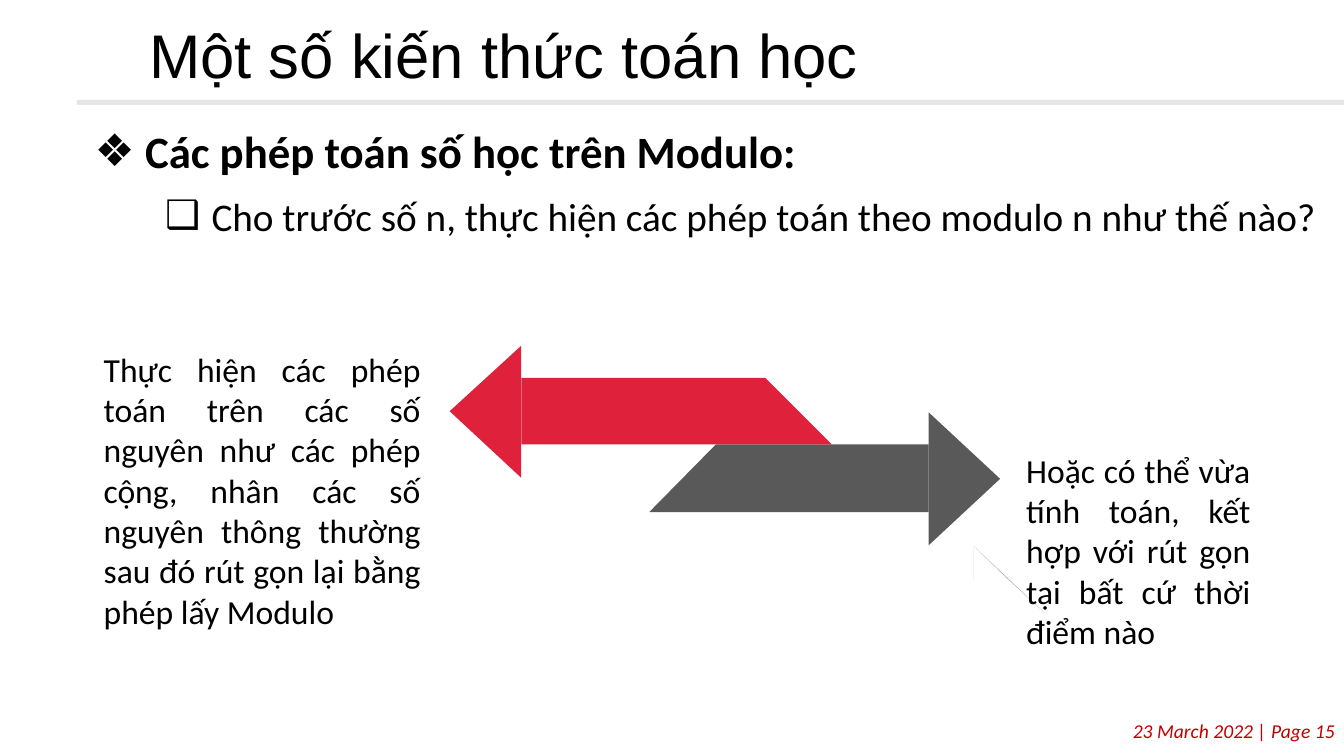
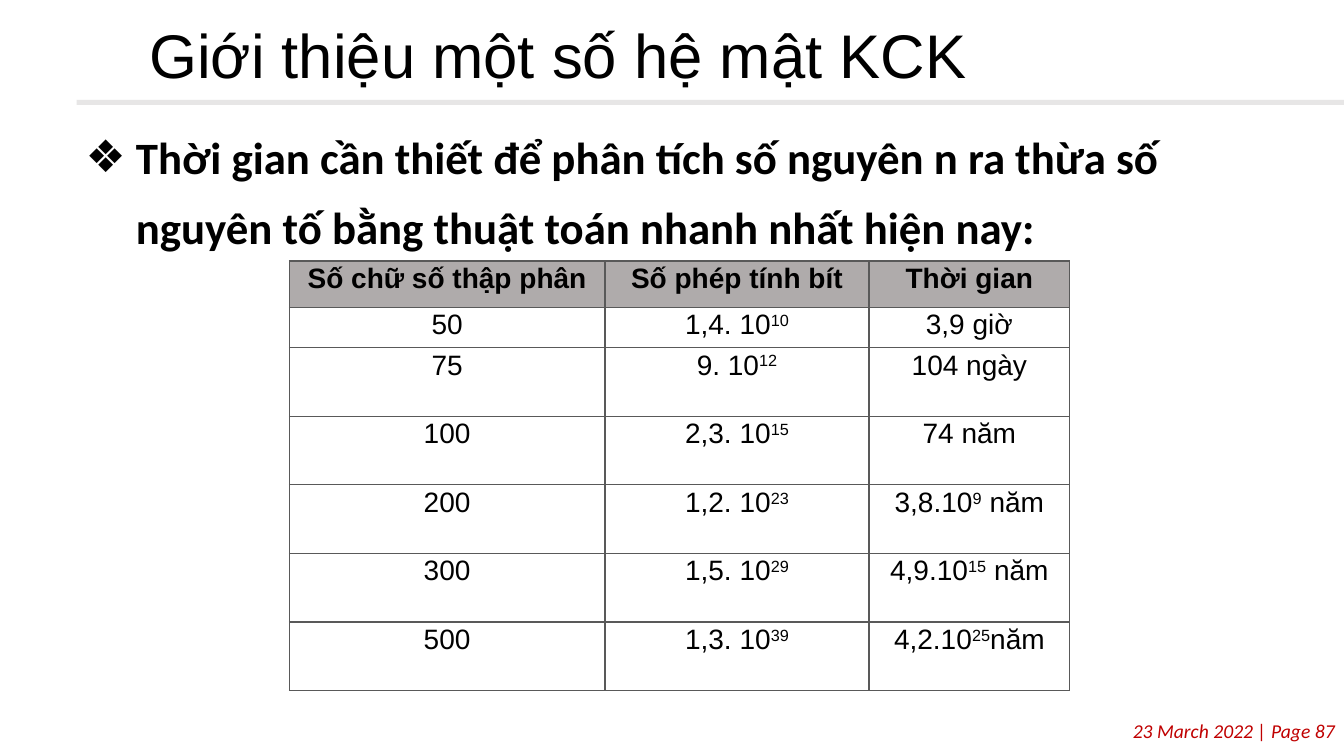
from lxml.etree import SubElement
from pptx import Presentation
from pptx.dml.color import RGBColor
from pptx.enum.shapes import MSO_SHAPE
from pptx.enum.text import MSO_ANCHOR, PP_ALIGN
from pptx.oxml.ns import qn
from pptx.util import Inches, Pt

BLACK = RGBColor(0x00, 0x00, 0x00)
RED = RGBColor(0xC0, 0x00, 0x00)
SILVER = RGBColor(0xE7, 0xE6, 0xE6)
CRIMSON = RGBColor(0xDF, 0x21, 0x3B)
GREY = RGBColor(0x59, 0x59, 0x59)
LILAC = RGBColor(0xA6, 0xA5, 0xC2)
HEAD = RGBColor(0xAF, 0xAB, 0xAB)


def add_run(para, text, size, font="Calibri", color=BLACK, bold=False, italic=False):
    run = para.add_run()
    run.text = text
    run.font.size = Pt(size)
    run.font.name = font
    run.font.color.rgb = color
    run.font.bold = bold
    run.font.italic = italic
    return run


def add_box(slide, left, top, width, height):
    box = slide.shapes.add_textbox(*map(Inches, (left, top, width, height)))
    box.text_frame.word_wrap = True
    return box.text_frame


deck = Presentation()
deck.slide_width, deck.slide_height = Inches(13.33), Inches(7.5)

# Title, page, body place, bullet lines with their level
pages = [
    ("Một số kiến thức toán học", 15, (0.67, 0.97, 12.59, 1.9), [
        (0, "Các phép toán số học trên Modulo:"),
        (1, "Cho trước số n, thực hiện các phép toán theo modulo n như thế nào?"),
    ]),
    ("Giới thiệu một số hệ mật KCK", 87, (0.58, 1.03, 12.33, 5.85), [
        (0, "Thời gian cần thiết để phân tích số nguyên n ra thừa số "
            "nguyên tố bằng thuật toán nhanh nhất hiện nay:"),
    ]),
]
# Bullet, margin, indent, size, bold for each level
levels = [("❖", 0.67, -0.5, 32, True), ("❑", 1.33, -0.46, 28, False)]

# Shared frame: footer, rule, title, bullets
for title, page, place, lines in pages:
    slide = deck.slides.add_slide(deck.slide_layouts[6])

    para = add_box(slide, 0.05, 7.08, 13.29, 0.34).paragraphs[0]
    para.alignment = PP_ALIGN.RIGHT
    add_run(para, f"23 March 2022 | Page {page}", 14, color=RED, italic=True)

    rule = slide.shapes.add_shape(
        MSO_SHAPE.RECTANGLE, Inches(0.76), Inches(0.99), Inches(12.58), Inches(0.05))
    rule.shadow.inherit = False
    rule.fill.solid()
    rule.fill.fore_color.rgb = SILVER
    rule.line.fill.background()

    frame = add_box(slide, 1.21, 0.19, 12.05, 0.78)
    frame.vertical_anchor = MSO_ANCHOR.MIDDLE
    frame.margin_left = Inches(0.27)
    para = frame.paragraphs[0]
    para.line_spacing = 0.9
    add_run(para, title, 44, "Arial")

    frame = add_box(slide, *place)
    frame.margin_top = frame.margin_bottom = Inches(0.1)
    for i, (level, text) in enumerate(lines):
        mark, left, indent, size, bold = levels[level]
        para = frame.add_paragraph() if i else frame.paragraphs[0]
        para.level = level
        para.line_spacing = 1.3
        props = para._p.get_or_add_pPr()
        props.set("marL", str(Inches(left)))
        props.set("indent", str(Inches(indent)))
        SubElement(props, qn("a:buFont"), typeface="Arial")
        SubElement(props, qn("a:buChar"), char=mark)
        add_run(para, text, size, bold=bold)

first, second = deck.slides

# Arrows: thin edges, then a shaft and a head for each direction
parts = [
    (LILAC, [(10.36, 6.08), (9.66, 6.74)]),
    (LILAC, [(10.36, 6.08), (9.66, 5.42), (9.66, 5.75), (9.66, 5.42), (9.98, 5.73)]),
    (GREY, [(9.21, 4.41), (7.1, 4.41), (6.44, 5.08), (9.21, 5.08)]),
    (GREY, [(9.21, 4.09), (9.92, 4.75), (9.21, 5.41)]),
    (CRIMSON, [(5.17, 3.75), (7.59, 3.75), (8.25, 4.41), (5.17, 4.41)]),
    (CRIMSON, [(5.17, 3.43), (4.46, 4.08), (5.17, 4.74)]),
]
for color, points in parts:
    dots = [(Inches(x), Inches(y)) for x, y in points]
    path = first.shapes.build_freeform(*dots[0])
    path.add_line_segments(dots[1:], close=True)
    shape = path.convert_to_shape()
    shape.shadow.inherit = False
    shape.fill.solid()
    shape.fill.fore_color.rgb = color
    shape.line.fill.background()

# Text beside the arrows
notes = [
    ((0.93, 3.41, 3.34, 2.93),
     "Thực hiện các phép toán trên các số nguyên như các phép cộng, nhân các số "
     "nguyên thông thường sau đó rút gọn lại bằng phép lấy Modulo"),
    ((10.08, 4.41, 2.42, 2.12),
     "Hoặc có thể vừa tính toán, kết hợp với rút gọn tại bất cứ thời điểm nào"),
]
for place, text in notes:
    para = add_box(first, *place).paragraphs[0]
    para.alignment = PP_ALIGN.JUSTIFY
    add_run(para, text, 24)

# Table of times; text between carets is raised
rows = [
    ("Số chữ số thập phân", "Số phép tính bít", "Thời gian"),
    ("50", "1,4. 10^10", "3,9 giờ"),
    ("75", "9. 10^12", "104 ngày"),
    ("100", "2,3. 10^15", "74 năm"),
    ("200", "1,2. 10^23", "3,8.10^9^ năm"),
    ("300", "1,5. 10^29", "4,9.10^15^ năm"),
    ("500", "1,3. 10^39", "4,2.10^25^năm"),
]
widths = [3.13, 2.62, 1.99]
heights = [0.46, 0.39] + [0.68] * 5
table = second.shapes.add_table(
    len(rows), len(widths), Inches(2.87), Inches(2.59),
    Inches(sum(widths)), Inches(sum(heights))).table
table.first_row = table.horz_banding = False
for col, width in zip(table.columns, widths):
    col.width = Inches(width)
for i, (row, height) in enumerate(zip(rows, heights)):
    table.rows[i].height = Inches(height)
    for j, text in enumerate(row):
        cell = table.cell(i, j)
        props = cell._tc.get_or_add_tcPr()
        for side in ("lnL", "lnR", "lnT", "lnB"):
            line = SubElement(props, qn(f"a:{side}"), w=str(Pt(1)))
            fill = SubElement(line, qn("a:solidFill"))
            SubElement(fill, qn("a:srgbClr"), val=str(GREY))
        if i == 0:
            cell.fill.solid()
            cell.fill.fore_color.rgb = HEAD
        else:
            cell.fill.background()
        para = cell.text_frame.paragraphs[0]
        para.alignment = PP_ALIGN.CENTER
        para.line_spacing = 0.9
        for k, piece in enumerate(text.split("^")):
            run = add_run(para, piece, 20, "Arial", bold=i == 0)
            if k % 2:
                run.font._element.set("baseline", "30000")

deck.save("out.pptx")
